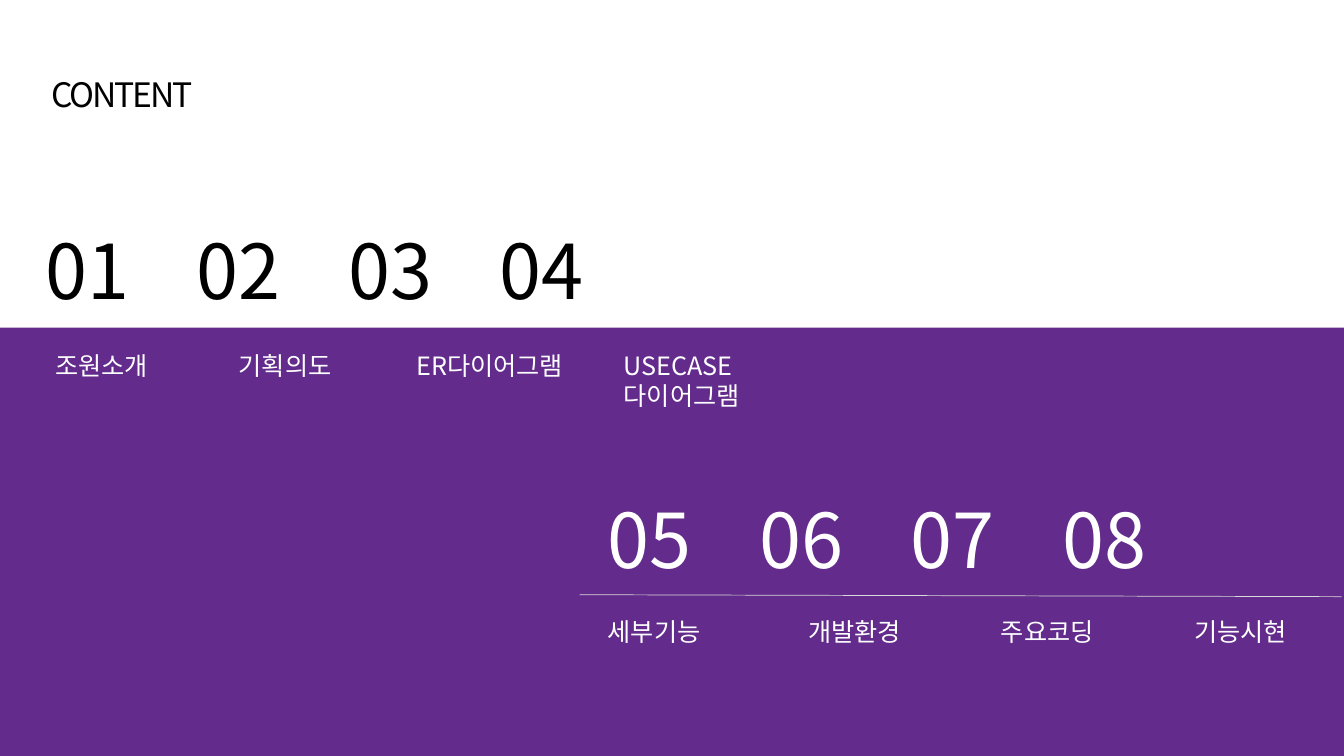
from lxml import etree
from pptx import Presentation
from pptx.dml.color import RGBColor
from pptx.enum.shapes import MSO_CONNECTOR, MSO_SHAPE
from pptx.enum.text import MSO_ANCHOR, MSO_AUTO_SIZE, PP_ALIGN
from pptx.oxml.ns import qn
from pptx.util import Pt

STRAIGHT, RECTANGLE = MSO_CONNECTOR.STRAIGHT, MSO_SHAPE.RECTANGLE
TOP, GROW, CENTER = MSO_ANCHOR.TOP, MSO_AUTO_SIZE.SHAPE_TO_FIT_TEXT, PP_ALIGN.CENTER

FONT = "Noto Sans CJK KR"
BLACK, WHITE, PURPLE, GRAY = "000000", "FFFFFF", "632B8B", "D9D9D9"
NUMBER_PITCH = 108.2

HEADING = "CONTENT"
CHAPTER_ROWS = [
    {
        "numbers": ["01", "02", "03", "04"],
        "numbers_box": (25.2, 156.2, 669, 72.7),
        "color": BLACK,
        "topics_top": 246.4,
        "topics": [
            (32.4, 87, ["조원소개"]),
            (163.4, 87, ["기획의도"]),
            (290.2, 126, ["ER다이어그램"]),
            (438.5, 105, ["USECASE", "다이어그램"]),
        ],
    },
    {
        "numbers": ["05", "06", "07", "08"],
        "numbers_box": (427, 348.5, 522, 72.7),
        "color": WHITE,
        "topics_top": 437,
        "topics": [
            (427, 87, ["세부기능"]),
            (570.2, 87, ["개발환경"]),
            (707.8, 87, ["주요코딩"]),
            (846, 87, ["기능시현"]),
        ],
    },
]


def rgb(hex_color):
    return RGBColor.from_string(hex_color)


def write(frame, lines, size, color, wrap=True):
    frame.word_wrap = wrap
    frame.auto_size = GROW
    frame.vertical_anchor = TOP
    for index, line in enumerate(lines):
        paragraph = frame.add_paragraph() if index else frame.paragraphs[0]
        run = paragraph.add_run()
        run.text = line
        run.font.size = Pt(size)
        run.font.name = FONT
        run.font.color.rgb = rgb(color)
        etree.SubElement(run.font._element, qn("a:ea"), typeface=FONT)


def add_text(slide, box, lines, size, color, wrap=True):
    frame = slide.shapes.add_textbox(*map(Pt, box)).text_frame
    write(frame, lines, size, color, wrap)
    return frame


def add_numbers(slide, row):
    numbers = row["numbers"]
    frame = add_text(slide, row["numbers_box"], ["\t".join(numbers)], 54, row["color"])
    properties = frame.paragraphs[0]._p.get_or_add_pPr()
    stops = etree.SubElement(properties, qn("a:tabLst"))
    for column in range(1, len(numbers)):
        position = Pt(column * NUMBER_PITCH)
        etree.SubElement(stops, qn("a:tab"), pos=str(int(position)), algn="l")


def add_heading(slide):
    heading = slide.shapes.title
    heading.left, heading.top, heading.width, heading.height = map(Pt, (10.8, 49, 152.6, 36))
    write(heading.text_frame, [HEADING], 24, BLACK)
    paragraph = heading.text_frame.paragraphs[0]
    paragraph.alignment = CENTER
    paragraph.runs[0].font._element.set("spc", "-150")


def add_band(slide):
    band = slide.shapes.add_shape(RECTANGLE, *map(Pt, (0, 234, 960, 306)))
    band.shadow.inherit = False
    band.fill.solid()
    band.fill.fore_color.rgb = rgb(PURPLE)
    band.line.fill.background()


def add_rule(slide):
    rule = slide.shapes.add_connector(STRAIGHT, *map(Pt, (414, 424.8, 958.3, 426.2)))
    rule.line.color.rgb = rgb(GRAY)
    rule.line.width = Pt(0.5)
    etree.SubElement(rule._element.spPr, qn("a:effectLst"))


def main():
    deck = Presentation()
    deck.slide_width, deck.slide_height = Pt(960), Pt(540)
    slide = deck.slides.add_slide(deck.slide_layouts[5])
    add_band(slide)
    add_heading(slide)
    add_rule(slide)
    for row in CHAPTER_ROWS:
        add_numbers(slide, row)
        for left, width, lines in row["topics"]:
            box = (left, row["topics_top"], width, 29 + 22 * (len(lines) - 1))
            add_text(slide, box, lines, 18, WHITE, wrap=False)
    deck.save("out.pptx")


if __name__ == "__main__":
    main()
